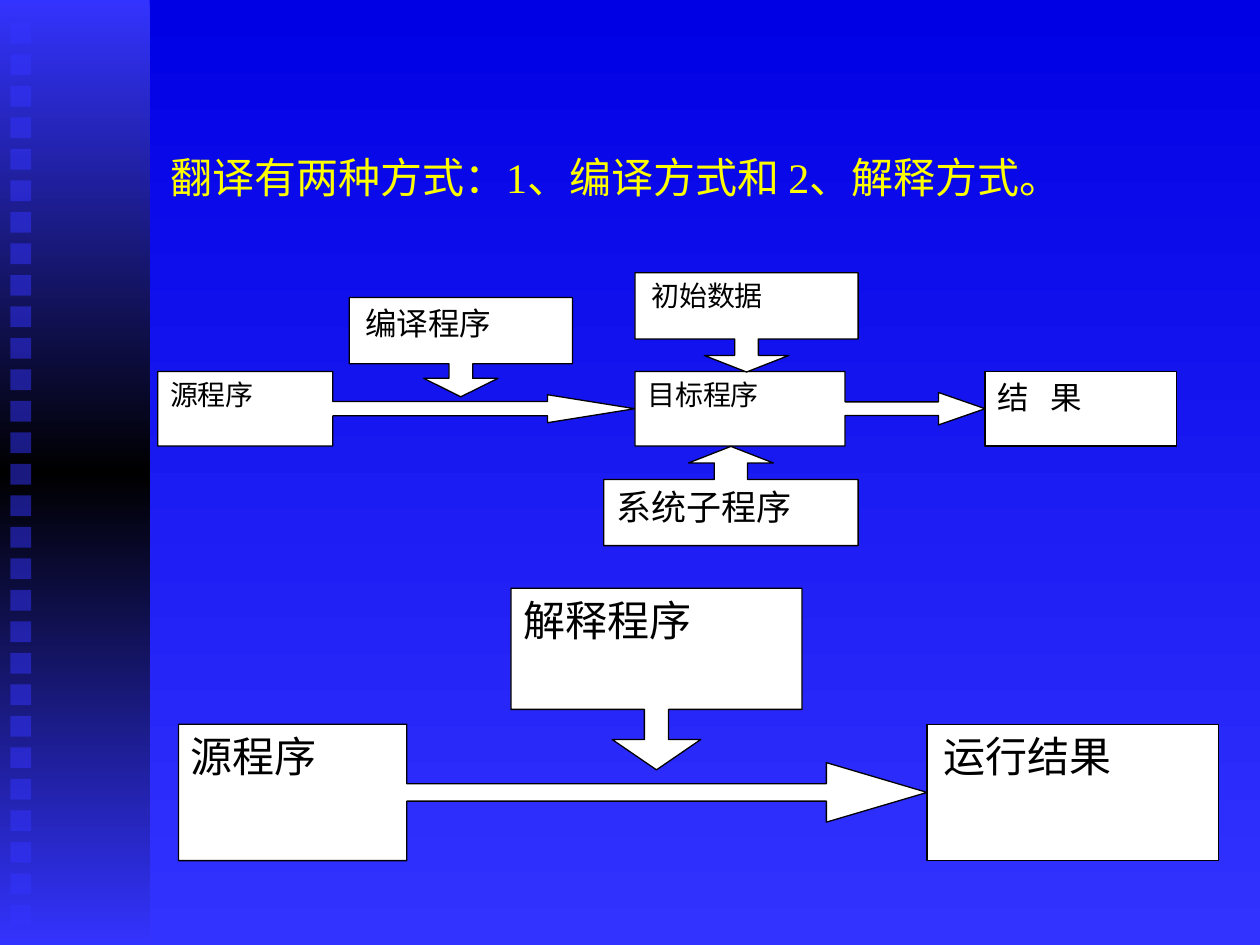
from pptx import Presentation
from pptx.dml.color import RGBColor
from pptx.enum.shapes import MSO_SHAPE
from pptx.enum.text import MSO_ANCHOR, PP_ALIGN
from pptx.oxml.ns import qn
from pptx.util import Cm, Pt
from lxml.etree import SubElement

NAVY = RGBColor(0x00, 0x00, 0xE5)
BLUE = RGBColor(0x33, 0x33, 0xFF)
BLACK = RGBColor(0x00, 0x00, 0x00)
WHITE = RGBColor(0xFF, 0xFF, 0xFF)
YELLOW = RGBColor(0xFF, 0xFF, 0x00)

RIGHT = MSO_SHAPE.RIGHT_ARROW_CALLOUT
DOWN = MSO_SHAPE.DOWN_ARROW_CALLOUT
UP = MSO_SHAPE.UP_ARROW_CALLOUT
PROCESS = MSO_SHAPE.FLOWCHART_PROCESS


class SlideBuilder:
    font = "Times New Roman"
    outline = Pt(0.75)

    def __init__(self, slide):
        self.slide = slide

    def gradient(self, fill, owner, colors):
        """Fill from top to bottom with evenly spaced colours."""
        fill.gradient()
        fill.gradient_angle = 270
        stops = owner.xpath(".//a:gsLst")[0]
        for stop in list(stops):
            stops.remove(stop)
        for i, color in enumerate(colors):
            position = str(100000 * i // (len(colors) - 1))
            stop = SubElement(stops, qn("a:gs"), pos=position)
            SubElement(stop, qn("a:srgbClr"), val=str(color))

    def background(self, *colors):
        self.gradient(self.slide.background.fill, self.slide.element, colors)

    def shape(self, kind, box):
        shape = self.slide.shapes.add_shape(kind, *map(Cm, box))
        shape.shadow.inherit = False
        return shape

    def band(self, box, *colors):
        band = self.shape(MSO_SHAPE.RECTANGLE, box)
        self.gradient(band.fill, band.element, colors)
        band.line.fill.background()

    def square(self, left, top, side):
        square = self.shape(MSO_SHAPE.RECTANGLE, (left, top, side, side))
        square.fill.solid()
        square.fill.fore_color.rgb = BLUE
        color = square.element.spPr.find(qn("a:solidFill"))[0]
        SubElement(color, qn("a:alpha"), val="50000")
        square.line.fill.background()

    def add_runs(self, frame, runs, color, align, anchor):
        frame.word_wrap = True
        frame.vertical_anchor = anchor
        paragraph = frame.paragraphs[0]
        paragraph.alignment = align
        for text, size in runs:
            run = paragraph.add_run()
            run.text = text
            run.font.name = self.font
            run.font.size = Pt(size)
            run.font.color.rgb = color

    def title(self, box, *runs):
        title = self.slide.shapes.add_textbox(*map(Cm, box))
        self.add_runs(title.text_frame, runs, YELLOW, PP_ALIGN.LEFT, MSO_ANCHOR.MIDDLE)

    def step(self, kind, box, adjustments, *runs):
        step = self.shape(kind, box)
        for i, value in enumerate(adjustments):
            step.adjustments[i] = value
        step.fill.solid()
        step.fill.fore_color.rgb = WHITE
        step.line.color.rgb = BLACK
        step.line.width = self.outline
        self.add_runs(step.text_frame, runs, BLACK, PP_ALIGN.JUSTIFY, MSO_ANCHOR.TOP)


def main():
    prs = Presentation()
    prs.slide_width, prs.slide_height = Cm(25.4), Cm(19.05)
    page = SlideBuilder(prs.slides.add_slide(prs.slide_layouts[6]))
    indent = (" ", 10)

    # Background and side band with its column of squares
    page.background(NAVY, BLUE)
    page.band((0, 0, 3.02, 19.05), BLUE, BLACK, BLUE)
    for row in range(29):
        page.square(0.21, 0.46 + 25.4 / 40 * row, 0.42)

    # Title
    page.title((3.18, 1.7, 21.59, 3.18),
               ("翻译有两种方式：1、编译方式和 2、解释方式。", 24), (" ", 44))

    # Compiling: source, target program, result
    row, height = 7.49, 1.5
    page.step(RIGHT, (3.18, row, 9.62, height), (0.192, 0.188, 1.175, 0.367),
              ("源程序", 16))
    page.step(RIGHT, (12.8, row, 7.06, height), (0.184, 0.218, 0.627, 0.6),
              ("目标程序", 16))
    page.step(DOWN, (7.04, 6, 4.5, 2), (0.239, 0.374, 0.186, 0.667),
              indent, ("编译程序", 18))
    page.step(DOWN, (12.8, 5.5, 4.5, 2), (0.239, 0.427, 0.167, 0.667),
              indent, ("初始数据", 16))
    page.step(UP, (12.17, 9, 5.13, 2), (0.334, 0.428, 0.167, 0.667),
              ("系统子程序", 20))
    page.step(PROCESS, (19.86, row, 3.86, height), (), ("结   果", 18))

    # Interpreting: source, interpreter, result
    row, height = 14.6, 2.75
    page.step(RIGHT, (3.6, row, 15.09, height), (0.128, 0.218, 0.738, 0.305),
              ("源程序", 24))
    page.step(PROCESS, (18.69, row, 5.87, height), (), indent, ("运行结果", 24))
    page.step(DOWN, (10.3, 11.86, 5.87, 3.66), (0.133, 0.244, 0.167, 0.667),
              ("解释程序", 24))

    prs.save("out.pptx")


if __name__ == "__main__":
    main()
